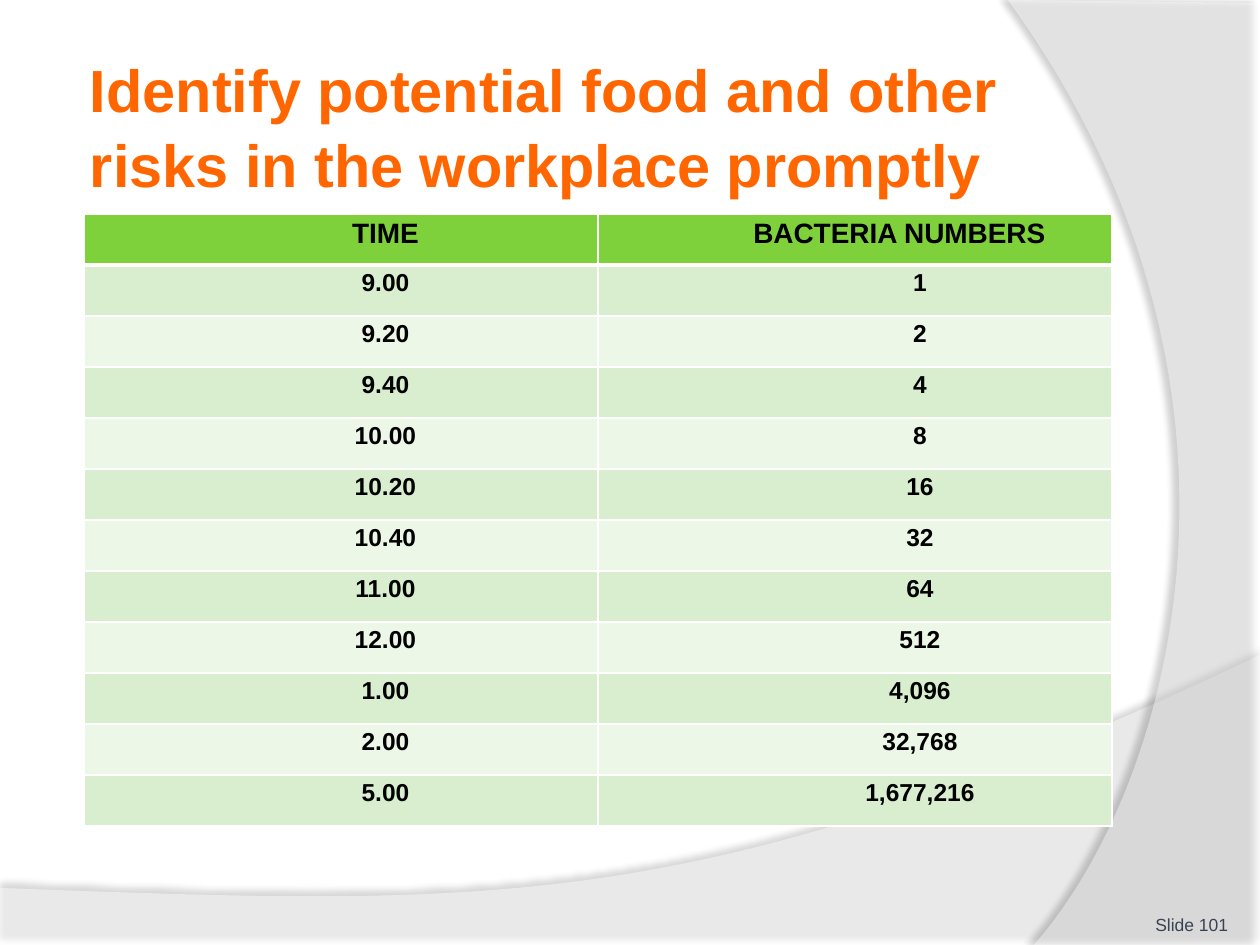
from lxml import etree
from pptx import Presentation
from pptx import util as u
from pptx.dml.color import RGBColor
from pptx.enum import text
from pptx.oxml import parse_xml

PX = 914400 / 126
NS = 'xmlns:a="http://schemas.openxmlformats.org/drawingml/2006/main"'
A = "{http://schemas.openxmlformats.org/drawingml/2006/main}"


def px(length):
    return u.Emu(round(length * PX))


def add_run(paragraph, words, size, color, bold=False):
    run = paragraph.add_run()
    run.text = words
    run.font.name = "Arial"
    run.font.size = u.Pt(size)
    run.font.bold = bold
    run.font.color.rgb = RGBColor.from_string(color)


prs = Presentation()
prs.slide_width, prs.slide_height = px(1260), px(945)
slide = prs.slides.add_slide(prs.slide_layouts[6])

# Translucent swooshes: corners, then a Bezier curve from the last corner
# (corners, curve, opacity %, shadow opacity %, shadow distance pt, direction)
swooshes = [
    ([(0, 888), (0, 946), (1260, 946), (1260, 655)],
     [(704, 919), (493, 906), (0, 888)], 45, 35, 3.5, 270),
    ([(1260, 3), (1260, 945), (1034, 945)],
     [(1178, 780), (1283, 378), (1008, 0)], 40, 45, 4, 180),
]
STEPS = 60
for corners, curve, opacity, shade, distance, direction in swooshes:
    bezier = [corners[-1]] + curve
    points = list(corners)
    for step in range(1, STEPS + 1):
        t = step / STEPS
        weights = [(1 - t) ** 3, 3 * t * (1 - t) ** 2, 3 * t * t * (1 - t), t ** 3]
        points.append([sum(w * p[axis] for w, p in zip(weights, bezier))
                       for axis in (0, 1)])
    outline = [(px(x), px(y)) for x, y in points]
    builder = slide.shapes.build_freeform(*outline[0], scale=1.0)
    builder.add_line_segments(outline[1:], close=True)
    swoosh = builder.convert_to_shape()
    swoosh.line.fill.background()
    swoosh.fill.solid()
    swoosh.fill.fore_color.rgb = RGBColor.from_string("FFFFFF")
    white = swoosh.fill._xPr.find(f"{A}solidFill/{A}srgbClr")
    etree.SubElement(white, f"{A}alpha", val=str(opacity * 1000))
    swoosh._element.spPr.append(parse_xml(
        f'<a:effectLst {NS}><a:outerShdw blurRad="{u.Pt(4)}" dist="{u.Pt(distance)}" '
        f'dir="{direction * 60000}" algn="ctr" rotWithShape="0"><a:srgbClr val="000000">'
        f'<a:alpha val="{shade * 1000}"/></a:srgbClr></a:outerShdw></a:effectLst>'))

# Title
title = slide.shapes.add_textbox(px(84), px(45), px(1029), px(158)).text_frame
title.word_wrap = True
title.vertical_anchor = text.MSO_ANCHOR.MIDDLE
title.margin_left = title.margin_right = px(6)
title.margin_top = title.margin_bottom = px(6)
title.paragraphs[0].line_spacing = 1.05
add_run(title.paragraphs[0],
        "Identify potential food and other risks in the workplace promptly",
        34, "FF6600", True)

# Bacteria growth table
growth = [
    ("TIME", "BACTERIA NUMBERS"),
    ("9.00", "1"), ("9.20", "2"), ("9.40", "4"),
    ("10.00", "8"), ("10.20", "16"), ("10.40", "32"),
    ("11.00", "64"), ("12.00", "512"), ("1.00", "4,096"),
    ("2.00", "32,768"), ("5.00", "1,677,216"),
]
ROW = 51
table = slide.shapes.add_table(len(growth), 2, px(84), px(214), px(1028),
                               px(ROW * len(growth))).table
for r, entries in enumerate(growth):
    table.rows[r].height = px(ROW)
    for c, entry in enumerate(entries):
        cell = table.cell(r, c)
        cell.margin_left = cell.margin_right = px(9)
        cell.margin_top = cell.margin_bottom = 0
        band = "7FD13B" if r == 0 else ("ECF7E8", "D8EECE")[r % 2]
        cell.fill.solid()
        cell.fill.fore_color.rgb = RGBColor.from_string(band)
        # White rules, heavier under the header
        widths = {"L": 1, "R": 1, "T": 3 if r == 1 else 1, "B": 3 if r == 0 else 1}
        for place, (side, width) in enumerate(widths.items()):
            cell._tc.get_or_add_tcPr().insert(place, parse_xml(
                f'<a:ln{side} {NS} w="{u.Pt(width)}"><a:solidFill>'
                f'<a:srgbClr val="FFFFFF"/></a:solidFill></a:ln{side}>'))
        line = cell.text_frame.paragraphs[0]
        line.alignment = text.PP_ALIGN.CENTER
        line.line_spacing = 1.15
        line.space_after = u.Pt(6)
        indent = 130 if r and c else 89
        line._p.get_or_add_pPr().set("marL", str(px(indent)))
        line._p.get_or_add_pPr().set("indent", "0")
        add_run(line, entry, 14 if r else 16, "000000", True)

# Slide number
footer = slide.shapes.add_textbox(px(1124), px(885), px(104), px(50)).text_frame
footer.word_wrap = True
footer.vertical_anchor = text.MSO_ANCHOR.BOTTOM
footer.margin_left = footer.margin_right = 0
footer.margin_top = footer.margin_bottom = 0
footer.paragraphs[0].alignment = text.PP_ALIGN.RIGHT
add_run(footer.paragraphs[0], "Slide 101", 10, "3A4352")

prs.save("out.pptx")
